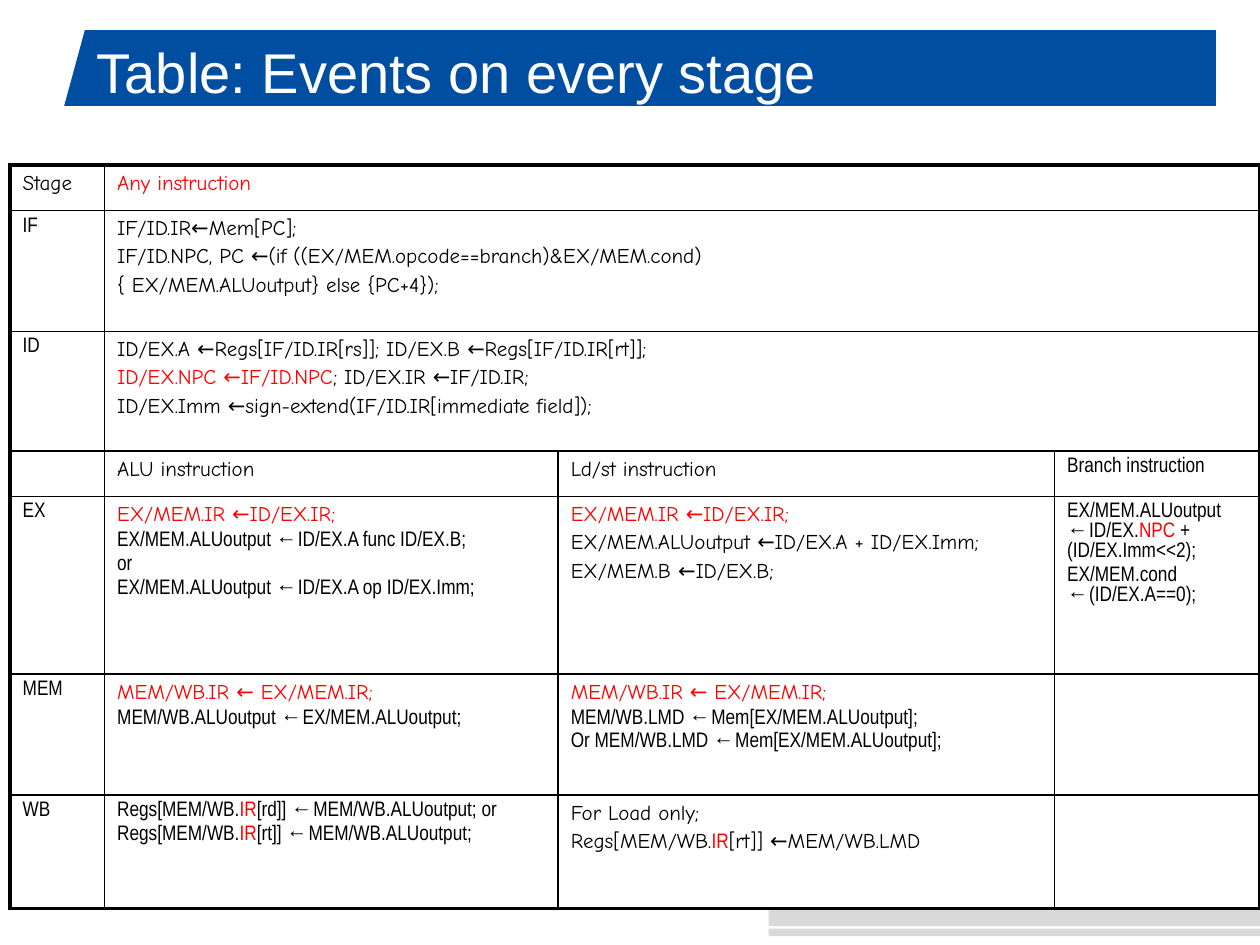
from lxml import etree
from pptx import Presentation
from pptx import util as u
from pptx.dml import color
from pptx.enum import shapes, text
from pptx.oxml import ns

COLORS = {"blue": "004EA2", "grey": "D9D9D9", "white": "FFFFFF", "black": "000000", "red": "FF0000"}
HAND, NARROW = "Comic Neue", "Arial Narrow"
STYLES = {
    "hand": (HAND, "black"),
    "hand_red": (HAND, "red"),
    "narrow": (NARROW, "black"),
    "narrow_red": (NARROW, "red"),
}
COLUMN_WIDTHS = [0.75, 3.6, 3.94, 1.63]
ROW_HEIGHTS = [0.36, 0.96, 0.95, 0.36, 1.41, 0.96, 0.9]
WIDE_ROWS = range(3)


def line(content, style="hand"):
    return [(content, style)]


def register_line(field, ending):
    return [("Regs[MEM/WB.", "narrow"), ("IR", "narrow_red"), (f"[{field}]] ←MEM/WB.ALUoutput;{ending}", "narrow")]


EX_IR = line("EX/MEM.IR ←ID/EX.IR;", "hand_red")
MEM_IR = line("MEM/WB.IR ← EX/MEM.IR;", "hand_red")
EVENTS = [
    [[line("Stage")], [line("Any instruction", "hand_red")]],
    [
        [line("IF", "narrow")],
        [
            line("IF/ID.IR←Mem[PC];"),
            line("IF/ID.NPC, PC ←(if ((EX/MEM.opcode==branch)&EX/MEM.cond)"),
            line("{ EX/MEM.ALUoutput} else {PC+4});"),
        ],
    ],
    [
        [line("ID", "narrow")],
        [
            line("ID/EX.A ←Regs[IF/ID.IR[rs]]; ID/EX.B ←Regs[IF/ID.IR[rt]];"),
            [("ID/EX.NPC ←IF/ID.NPC", "hand_red"), ("; ID/EX.IR ←IF/ID.IR;", "hand")],
            line("ID/EX.Imm ←sign-extend(IF/ID.IR[immediate field]);"),
        ],
    ],
    [[], [line("ALU instruction")], [line("Ld/st instruction")], [line("Branch instruction", "narrow")]],
    [
        [line("EX", "narrow")],
        [
            EX_IR,
            line("EX/MEM.ALUoutput ←ID/EX.A func ID/EX.B;", "narrow"),
            line("or", "narrow"),
            line("EX/MEM.ALUoutput ←ID/EX.A op ID/EX.Imm;", "narrow"),
        ],
        [EX_IR, line("EX/MEM.ALUoutput ←ID/EX.A + ID/EX.Imm;"), line("EX/MEM.B ←ID/EX.B;")],
        [
            [("EX/MEM.ALUoutput ←ID/EX.", "narrow"), ("NPC", "narrow_red"), (" + (ID/EX.Imm<<2);", "narrow")],
            line("EX/MEM.cond ←(ID/EX.A==0);", "narrow"),
        ],
    ],
    [
        [line("MEM", "narrow")],
        [MEM_IR, line("MEM/WB.ALUoutput ←EX/MEM.ALUoutput;", "narrow")],
        [
            MEM_IR,
            line("MEM/WB.LMD ←Mem[EX/MEM.ALUoutput];", "narrow"),
            line("Or MEM/WB.LMD ←Mem[EX/MEM.ALUoutput];", "narrow"),
        ],
    ],
    [
        [line("WB", "narrow")],
        [register_line("rd", " or"), register_line("rt", "")],
        [
            line("For Load only;"),
            [("Regs[MEM/WB.", "hand"), ("IR", "narrow_red"), ("[rt]] ←MEM/WB.LMD", "hand")],
        ],
    ],
]


def rgb(name):
    return color.RGBColor.from_string(COLORS[name])


def apply_format(target, values):
    for name, value in values.items():
        setattr(target, name, value)


def add_run(paragraph, content, font_name, size, color_name):
    run = paragraph.add_run()
    run.text = content
    apply_format(run.font, {"name": font_name, "size": u.Pt(size)})
    run.font.color.rgb = rgb(color_name)


def add_block(slide, kind, box, color_name):
    shape = slide.shapes.add_shape(kind, *map(u.Inches, box))
    shape.shadow.inherit = False
    shape.fill.solid()
    shape.fill.fore_color.rgb = rgb(color_name)
    shape.line.fill.background()
    return shape


def add_header(slide, left, top, width, height):
    slant = add_block(slide, shapes.MSO_SHAPE.TRAPEZOID, (left, top, 4.06, height), "blue")
    slant.adjustments[0] = 0.273
    right = left + width
    for bar_width, offset, bar_height in [(5.83, 0, height), (4.8, 0.55, 0.05)]:
        box = (right - bar_width, top + offset, bar_width, bar_height)
        add_block(slide, shapes.MSO_SHAPE.RECTANGLE, box, "blue")
    title = slide.shapes.add_textbox(*map(u.Inches, (left + 0.16, top + 0.01, 8.31, 1)))
    frame_format = {
        "word_wrap": True,
        "margin_top": u.Inches(0.05),
        "vertical_anchor": text.MSO_ANCHOR.TOP,
    }
    apply_format(title.text_frame, frame_format)
    add_run(title.text_frame.paragraphs[0], "Table: Events on every stage", "Arial", 32, "white")


def add_footer(slide, left, top, width, height):
    for offset, bar_height in [(0, 0.45), (height - 0.06, 0.06)]:
        add_block(slide, shapes.MSO_SHAPE.RECTANGLE, (left, top + offset, width, bar_height), "grey")


def add_borders(cell, row, column):
    properties = cell._tc.get_or_add_tcPr()
    outer_edges = {
        "lnL": column == 0,
        "lnR": column == len(COLUMN_WIDTHS) - 1 or (row in WIDE_ROWS and column == 1),
        "lnT": row == 0,
        "lnB": row == len(ROW_HEIGHTS) - 1,
    }
    for tag, outer in outer_edges.items():
        border = etree.SubElement(properties, ns.qn(f"a:{tag}"), w=str(u.Pt(2.25 if outer else 1)))
        fill = etree.SubElement(border, ns.qn("a:solidFill"))
        etree.SubElement(fill, ns.qn("a:srgbClr"), val=COLORS["black"])


def fill_cell(cell, paragraphs):
    frame = cell.text_frame
    for index, runs in enumerate(paragraphs):
        paragraph = frame.add_paragraph() if index else frame.paragraphs[0]
        if index:
            paragraph.space_before = u.Pt(2.4)
        for content, style in runs:
            font_name, color_name = STYLES[style]
            add_run(paragraph, content, font_name, 12, color_name)
    if not paragraphs:
        etree.SubElement(frame.paragraphs[0]._p, ns.qn("a:endParaRPr"), sz="1200")


def add_events_table(slide, left, top, width, height):
    frame = slide.shapes.add_table(
        len(ROW_HEIGHTS), len(COLUMN_WIDTHS), *map(u.Inches, (left, top, width, height))
    )
    table = frame.table
    apply_format(table, {"first_row": False, "horz_banding": False})
    for column, column_width in zip(table.columns, COLUMN_WIDTHS):
        column.width = u.Inches(column_width)
    for row, row_height in zip(table.rows, ROW_HEIGHTS):
        row.height = u.Inches(row_height)
    for row, events in enumerate(EVENTS):
        for column in range(len(COLUMN_WIDTHS)):
            cell = table.cell(row, column)
            add_borders(cell, row, column)
            cell.fill.solid()
            cell.fill.fore_color.rgb = rgb("white")
            fill_cell(cell, events[column] if column < len(events) else [])
    for row in WIDE_ROWS:
        table.cell(row, 1).merge(table.cell(row, len(COLUMN_WIDTHS) - 1))


def main():
    presentation = Presentation()
    apply_format(presentation, {"slide_width": u.Inches(10), "slide_height": u.Inches(7.5)})
    slide = presentation.slides.add_slide(presentation.slide_layouts[6])
    add_header(slide, 0.51, 0.24, 9.14, 0.6)
    add_footer(slide, 6.1, 6.9, 3.9, 0.53)
    add_events_table(slide, 0.08, 1.31, sum(COLUMN_WIDTHS), sum(ROW_HEIGHTS))
    presentation.save("out.pptx")


if __name__ == "__main__":
    main()
